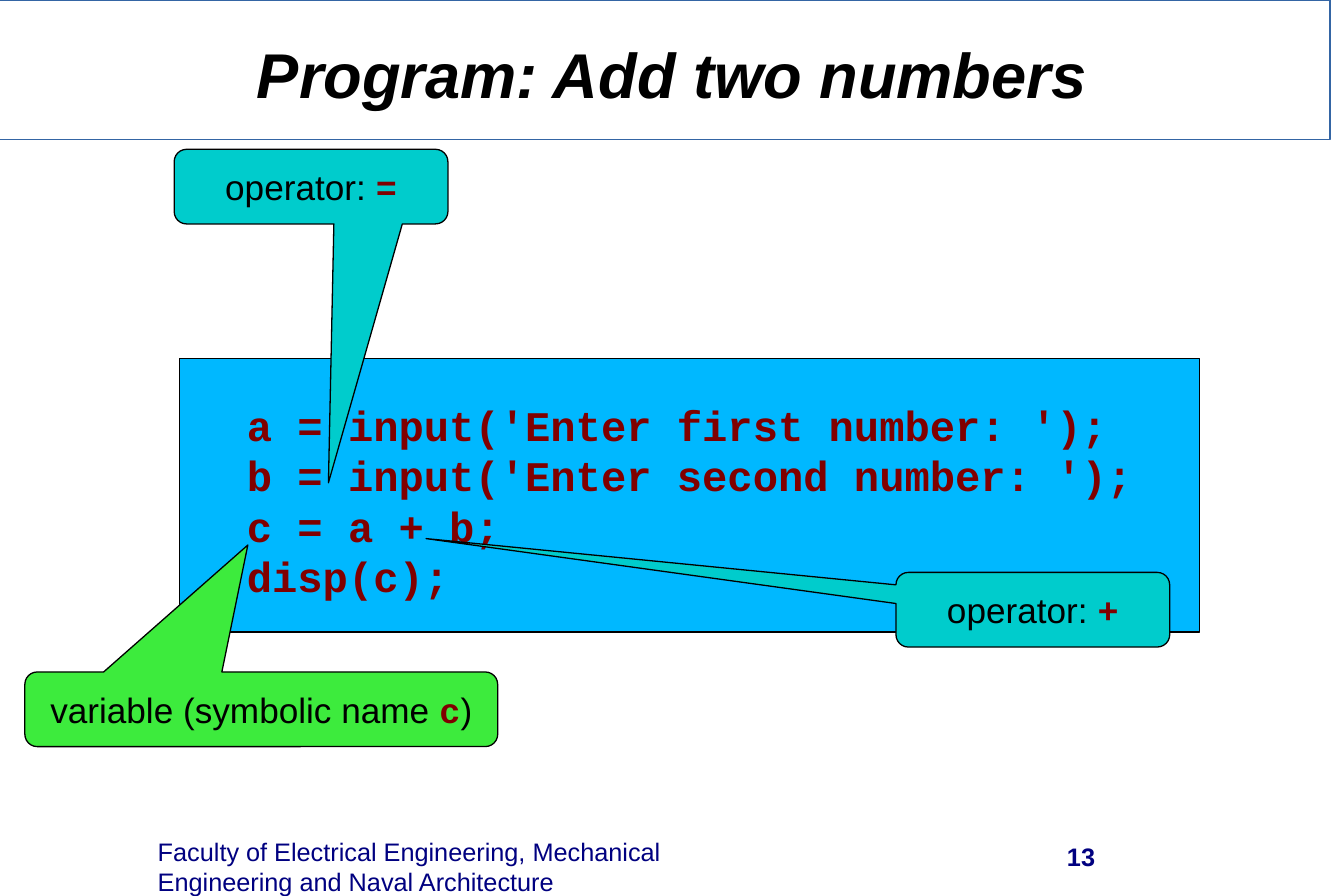
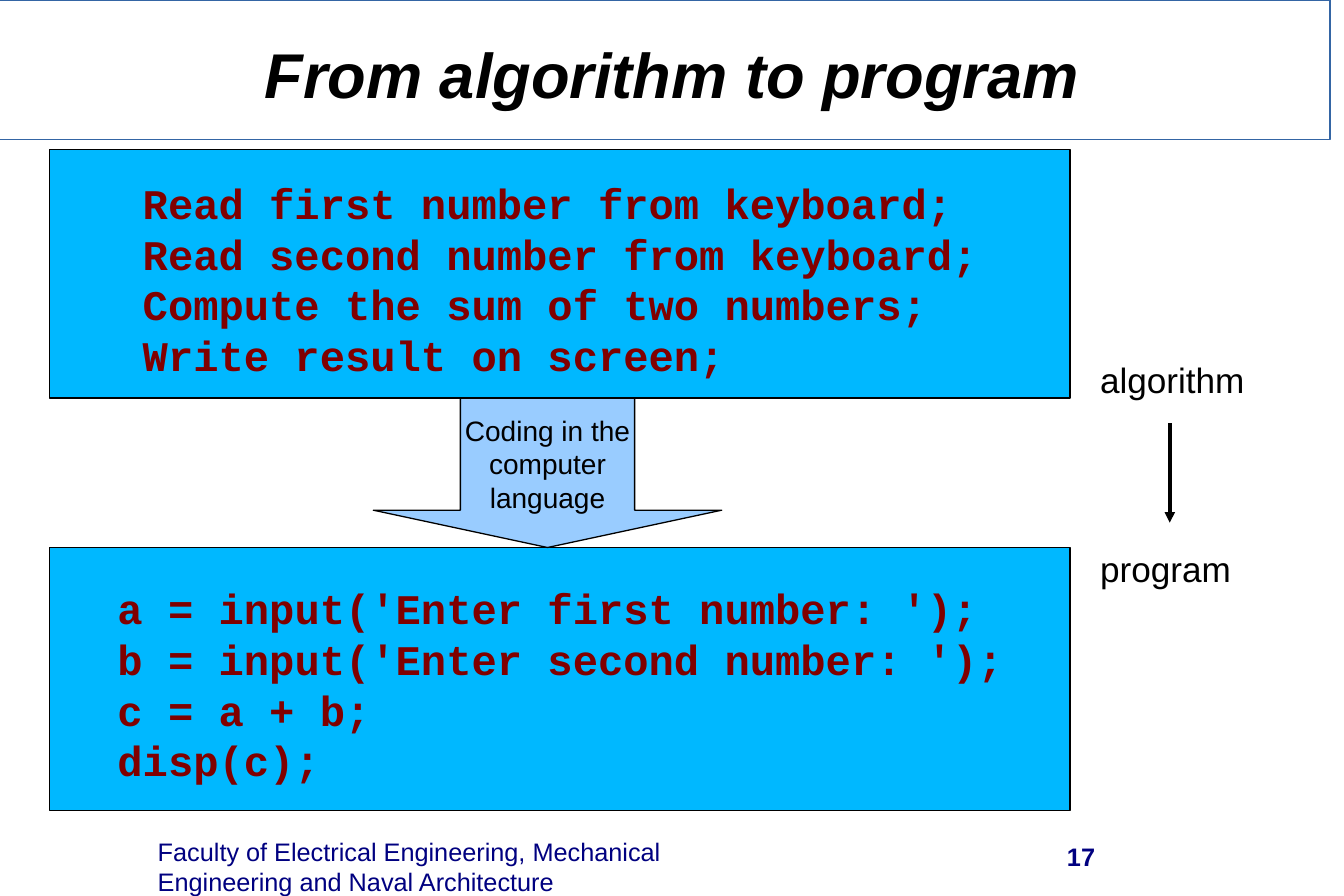
"""Build two lecture slides on turning an algorithm into a program."""
import dataclasses

import lxml.etree
import pptx
import pptx.dml.color
import pptx.enum.shapes
import pptx.enum.text
import pptx.oxml.ns
import pptx.util

SHAPE = pptx.enum.shapes.MSO_SHAPE
ALIGN = pptx.enum.text.PP_ALIGN
ANCHOR = pptx.enum.text.MSO_ANCHOR
COLS, ROWS = 27, 18
PROGRAM = [
    "a = input('Enter first number: ');",
    "b = input('Enter second number: ');",
    "c = a + b;",
    "disp(c);",
]
ALGORITHM = [
    "Read first number from keyboard;",
    "Read second number from keyboard;",
    "Compute the sum of two numbers;",
    "Write result on screen;",
]


@dataclasses.dataclass(frozen=True)
class Theme:
    white: str = "FFFFFF"
    black: str = "000000"
    rule: str = "3465A4"
    navy: str = "000080"
    maroon: str = "800000"
    panel: str = "00B8FF"
    teal: str = "00CCCC"
    green: str = "3DEB3D"
    arrow: str = "99CCFF"
    sans: str = "Arial"
    mono: str = "Courier New"
    title_size: float = 36
    code_size: float = 24
    label_size: float = 20
    arrow_size: float = 16
    footer_size: float = 14.4
    leading: float = 1.2
    char_width: float = 0.6


class Deck:
    def __init__(self, theme):
        self.t = t = theme
        self.prs = pptx.Presentation()
        self.prs.slide_width = pptx.util.Cm(COLS)
        self.prs.slide_height = pptx.util.Cm(ROWS)
        self.s = None
        sans = {"name": t.sans, "color": t.black}
        mono = {"name": t.mono, "color": t.maroon, "bold": True}
        footer = {**sans, "color": t.navy, "size": t.footer_size}
        self.styles = {
            "title": {**sans, "size": t.title_size, "bold": True, "italic": True},
            "label": {**sans, "size": t.label_size},
            "symbol": {**mono, "size": t.label_size},
            "code": {**mono, "size": t.code_size},
            "arrow": {**sans, "size": t.arrow_size},
            "footer": footer,
            "number": {**footer, "bold": True},
        }

    def cells(self, *values):
        unit = self.prs.slide_width / COLS
        return [round(v * unit) for v in values]

    def slide(self, title, number):
        self.s = self.prs.slides.add_slide(self.prs.slide_layouts[6])
        self.shape(SHAPE.RECTANGLE, (-0.28, 0, 27, 2.8), self.t.white, self.t.rule)
        self.text((3.17, 16.85, 10.34, 1.1), "footer",
                  "Faculty of Electrical Engineering, Mechanical "
                  "Engineering and Naval Architecture",
                  anchor=ANCHOR.MIDDLE, leading=True)
        self.text((14.65, 16.6, 7.35, 1.2), "number", str(number),
                  ALIGN.RIGHT, ANCHOR.MIDDLE)
        self.text((0, 0, COLS, 2.95), "title", title, ALIGN.CENTER, ANCHOR.MIDDLE)

    def shape(self, kind, box, fill, line=None):
        sp = self.s.shapes.add_shape(kind, *self.cells(*box))
        sp.shadow.inherit = False
        sp.fill.solid()
        sp.fill.fore_color.rgb = pptx.dml.color.RGBColor.from_string(fill)
        sp.line.color.rgb = pptx.dml.color.RGBColor.from_string(line or self.t.black)
        sp.line.width = 0
        return sp

    def put_text(self, sp, paragraphs, align=ALIGN.LEFT, anchor=ANCHOR.MIDDLE,
                 wrap=True, leading=False, left=0, top=0):
        tf = sp.text_frame
        frame = {"word_wrap": wrap, "vertical_anchor": anchor, "margin_left": left,
                 "margin_top": top, "margin_right": 0, "margin_bottom": 0}
        for name, value in frame.items():
            setattr(tf, name, value)
        for i, runs in enumerate(paragraphs):
            p = tf.add_paragraph() if i else tf.paragraphs[0]
            p.alignment = align
            for text, style in runs:
                r = p.add_run()
                r.text = text
                self.apply_style(r.font, self.styles[style])
                if leading:
                    size = self.styles[style]["size"]
                    p.line_spacing = pptx.util.Pt(size * self.t.leading)

    def apply_style(self, font, values):
        for name, value in values.items():
            if name == "color":
                font.color.rgb = pptx.dml.color.RGBColor.from_string(value)
            else:
                setattr(font, name, pptx.util.Pt(value) if name == "size" else value)

    def text(self, box, style, text, align=ALIGN.LEFT, anchor=ANCHOR.TOP, leading=False):
        sp = self.s.shapes.add_textbox(*self.cells(*box))
        self.put_text(sp, [[(text, style)]], align, anchor, leading=leading)

    def code(self, box, lines):
        sp = self.shape(SHAPE.RECTANGLE, box, self.t.panel)
        advance = pptx.util.Pt(self.t.code_size * self.t.char_width)
        left = (sp.width - max(map(len, lines)) * advance) // 2
        self.put_text(sp, [[(line, "code")] for line in lines], leading=True,
                      left=left, top=self.cells(0.2)[0])

    def callout(self, box, tip, fill, runs):
        sp = self.shape(SHAPE.ROUNDED_RECTANGULAR_CALLOUT, box, fill)
        x, y, w, h = box
        sp.adjustments[0] = (tip[0] - x) / w - 0.5
        sp.adjustments[1] = (tip[1] - y) / h - 0.5
        self.put_text(sp, [runs], ALIGN.CENTER, wrap=False)

    def block_arrow(self, box, text):
        sp = self.shape(SHAPE.DOWN_ARROW, box, self.t.arrow)
        sp.adjustments[0] = 0.5
        sp.adjustments[1] = 0.25
        self.put_text(sp, [[(text, "arrow")]], ALIGN.CENTER, leading=True)

    def line_arrow(self, *ends):
        sp = self.s.shapes.add_connector(
            pptx.enum.shapes.MSO_CONNECTOR.STRAIGHT, *self.cells(*ends))
        sp.line.color.rgb = pptx.dml.color.RGBColor.from_string(self.t.black)
        sp.line.width = 0
        qn = pptx.oxml.ns.qn
        props = sp.element.spPr
        lxml.etree.SubElement(props.find(qn("a:ln")), qn("a:tailEnd"), type="triangle")
        lxml.etree.SubElement(props, qn("a:effectLst"))


def main():
    t = Theme()
    deck = Deck(t)

    deck.slide("Program: Add two numbers", 13)
    deck.code((3.6, 7.2, 20.5, 5.5), PROGRAM)
    deck.callout((0.5, 13.5, 9.5, 1.5), (4.98, 10.95), t.green,
                 [("variable (symbolic name ", "label"), ("c", "symbol"), (")", "label")])
    for x, y, tip, sign in [(18, 11.5, (8.56, 10.82), "+"), (3.5, 3, (6.6, 9.7), "=")]:
        deck.callout((x, y, 5.5, 1.5), tip, t.teal,
                     [("operator: ", "label"), (sign, "symbol")])

    deck.slide("From algorithm to program", 17)
    deck.code((1, 11, 20.5, 5.28), PROGRAM)
    deck.block_arrow((7.5, 8, 7, 3), "Coding in the computer language")
    for y, label in [(7.2, "algorithm"), (11, "program")]:
        deck.text((22.1, y, 4, 0.8), "label", label)
    deck.line_arrow(23.5, 8.5, 23.5, 10.5)
    deck.code((1, 3, 20.5, 5), ALGORITHM)

    deck.prs.save("out.pptx")


if __name__ == "__main__":
    main()
